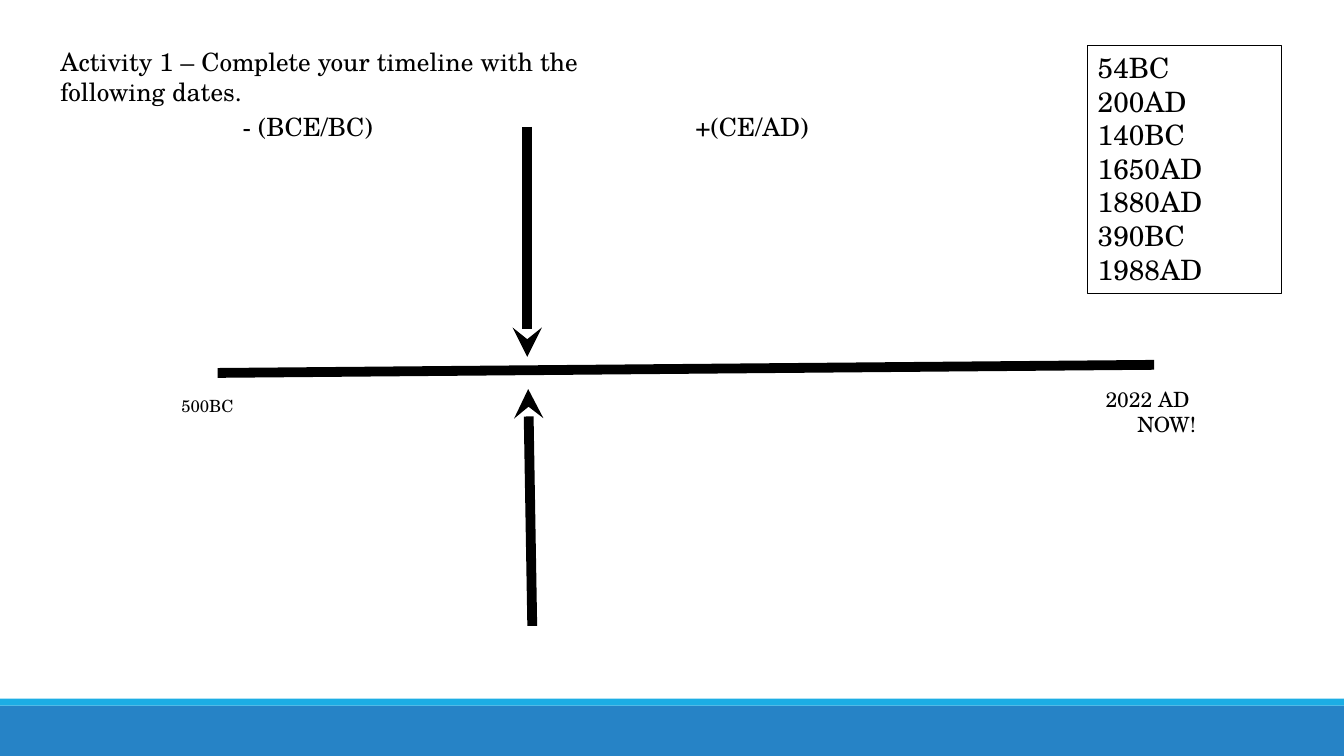
import pptx
import pptx.util
import pptx.dml.color
import pptx.enum.shapes
import pptx.enum.text
import pptx.oxml.ns
import lxml.etree
from dataclasses import dataclass

Pt = pptx.util.Pt
Align = pptx.enum.text.PP_ALIGN


@dataclass(frozen=True)
class Theme:
    font: str = "TeX Gyre Schola"
    ink: str = "000000"
    base: str = "2683C6"
    trim: str = "1CADE4"
    list: int = 20
    head: int = 18
    now: int = 15
    small: int = 12
    thick: float = 7
    thin: float = 0.75


theme = Theme()


def color(code):
    return pptx.dml.color.RGBColor.from_string(code)


def add_tag(parent, tag, **attrs):
    return lxml.etree.SubElement(parent, pptx.oxml.ns.qn(tag), **attrs)


def place(shape, left, top, width, height):
    shape.left, shape.top = Pt(left), Pt(top)
    shape.width, shape.height = Pt(width), Pt(height)


def write(shape, text, size):
    frame = shape.text_frame
    frame.text = text
    frame.word_wrap = True
    frame.auto_size = pptx.enum.text.MSO_AUTO_SIZE.NONE
    frame.vertical_anchor = pptx.enum.text.MSO_ANCHOR.TOP
    for para in frame.paragraphs:
        para.alignment = Align.LEFT
        para.space_before = Pt(0)
        for run in para.runs:
            run.font.name = theme.font
            run.font.size = Pt(size)
            run.font.color.rgb = color(theme.ink)


def add_bar(slide, top, height, fill):
    kind = pptx.enum.shapes.MSO_SHAPE.RECTANGLE
    bar = slide.shapes.add_shape(kind, 0, Pt(top), Pt(960), Pt(height))
    bar.shadow.inherit = False
    bar.fill.solid()
    bar.fill.fore_color.rgb = color(fill)
    bar.line.fill.background()


def add_line(slide, start, end, arrow=False):
    kind = pptx.enum.shapes.MSO_CONNECTOR.STRAIGHT
    points = [Pt(value) for value in start + end]
    link = slide.shapes.add_connector(kind, *points)
    link.line.color.rgb = color(theme.ink)
    link.line.width = Pt(theme.thick)
    if arrow:
        add_tag(link.line._get_or_add_ln(), "a:tailEnd", type="stealth")
    add_tag(link._element.spPr, "a:effectLst")


def add_label(slide, text, area, size):
    label = slide.shapes.add_textbox(0, 0, 0, 0)
    place(label, *area)
    write(label, text, size)
    return label


def fill_title(slide, text):
    title = slide.shapes.title
    place(title, 36, 29.5, 453.6, 50)
    write(title, text, theme.head)


def fill_dates(slide, dates):
    body = slide.placeholders[1]
    place(body, 776.9, 32.4, 138.2, 177.1)
    body.line.color.rgb = color(theme.ink)
    body.line.width = Pt(theme.thin)
    write(body, "\n".join(dates), theme.list)
    for para in body.text_frame.paragraphs:
        props = para._p.get_or_add_pPr()
        props.set("marL", "0")
        props.set("indent", "0")
        add_tag(props, "a:buNone")


def main():
    deck = pptx.Presentation()
    deck.slide_width, deck.slide_height = Pt(960), Pt(540)
    slide = deck.slides.add_slide(deck.slide_layouts[1])

    add_bar(slide, 504, 36, theme.base)
    add_bar(slide, 499, 5, theme.trim)

    add_line(slide, (155.5, 266.4), (824.4, 260.6))
    add_line(slide, (376.6, 90.7), (376.6, 254.9), arrow=True)
    add_line(slide, (380.2, 447.1), (377.3, 277.9), arrow=True)

    fill_dates(slide, ["54BC", "200AD", "140BC", "1650AD",
                       "1880AD", "390BC", "1988AD"])
    fill_title(slide, "Activity 1 – Complete your timeline "
                      "with the following dates.")

    add_label(slide, "- (BCE/BC)", (166.3, 76.3, 113, 29), theme.head)
    add_label(slide, "+(CE/AD)", (489.6, 76.3, 100, 29), theme.head)
    add_label(slide, "500BC", (122.4, 279.4, 65, 22), theme.small)
    now = add_label(slide, "2022 AD\nNOW!", (782.6, 272.2, 101.5, 44),
                    theme.now)
    now.text_frame.paragraphs[1].alignment = Align.CENTER

    deck.save("out.pptx")


if __name__ == "__main__":
    main()
